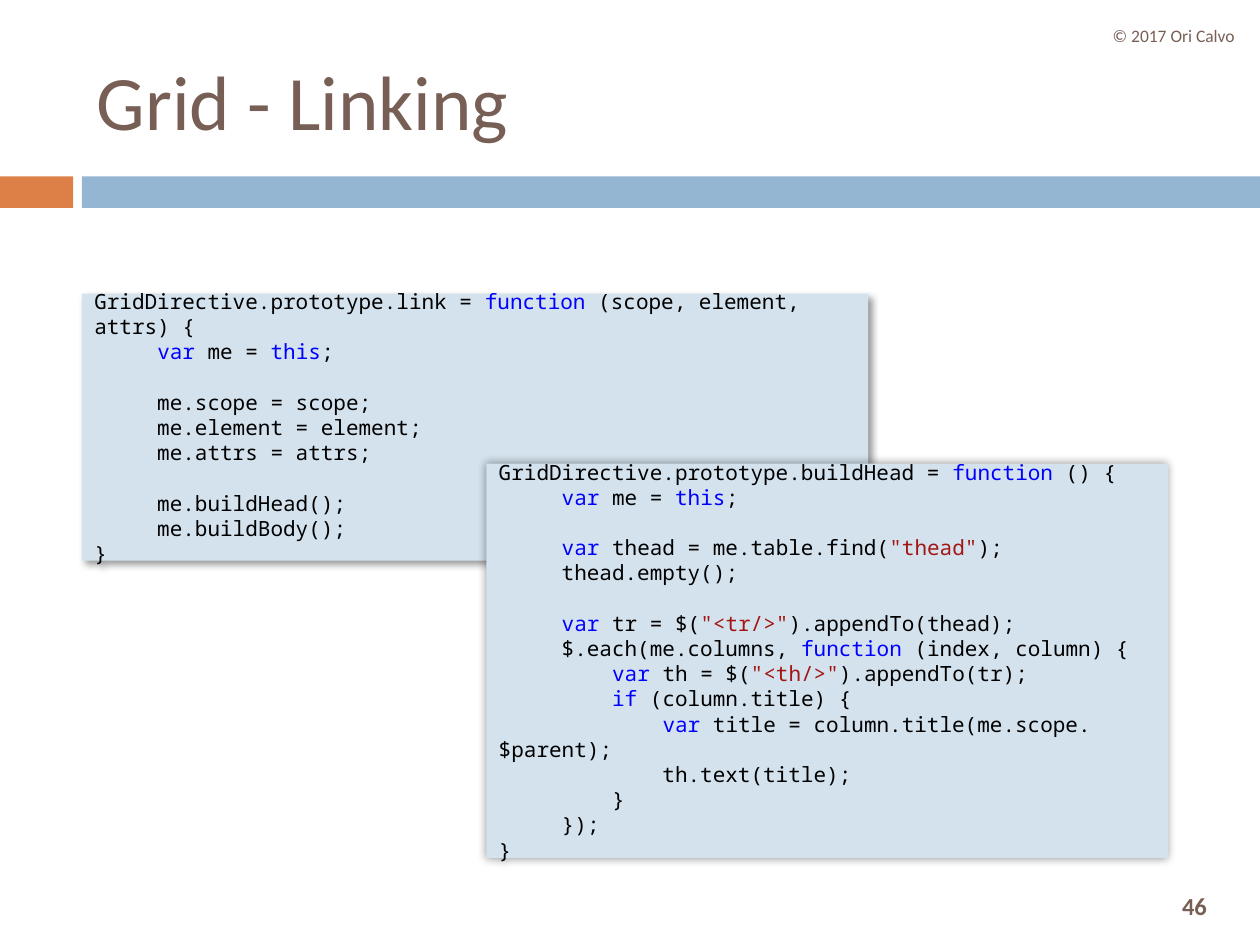
from lxml import etree
from pptx import Presentation
from pptx.dml.color import RGBColor
from pptx.enum import shapes, text
from pptx.oxml import ns
from pptx.util import Pt

BROWN, BLACK, KEYWORD, STRING = "775F55", "000000", "0000FF", "A31515"
PANEL = "D4E2ED"

BARS = [
    ("DD8047", (0, 100.8, 41.8, 18)),
    ("94B6D2", (46.8, 100.8, 673.2, 18)),
]

LABELS = [
    ("Grid - Linking", (48.24, 18, 642.24, 77.76), dict(size=44)),
    ("© 2017 Ori Calvo", (621.36, 0, 98.64, 40.32), dict(size=10, centred=True)),
    ("46", (649.44, 502.56, 66.24, 30.24), dict(size=14, bold=True, centred=True)),
]

LINK_CODE = """GridDirective.prototype.link = `function` (scope, element, attrs) {
     `var` me = `this`;

     me.scope = scope;
     me.element = element;
     me.attrs = attrs;

     me.buildHead();
     me.buildBody();
}"""

HEAD_CODE = """GridDirective.prototype.buildHead = `function` () {
     `var` me = `this`;

     `var` thead = me.table.find(`"thead"`);
     thead.empty();

     `var` tr = $(`"<tr/>"`).appendTo(thead);
     $.each(me.columns, `function` (index, column) {
         `var` th = $(`"<th/>"`).appendTo(tr);
         `if` (column.title) {
             `var` title = column.title(me.scope.$parent);
             th.text(title);
         }
     });
}"""

CODE_PANELS = [
    (LINK_CODE, (46.8, 167.76, 449.28, 152.64), dict(blur=4, distance=3, angle=45)),
    (HEAD_CODE, (277.92, 264.96, 389.52, 225.36), dict(blur=5, distance=0, angle=0)),
]


def colour(value):
    return RGBColor.from_string(value)


def add_rectangle(slide, box, fill):
    shape = slide.shapes.add_shape(shapes.MSO_SHAPE.RECTANGLE, *map(Pt, box))
    shape.shadow.inherit = False
    shape.fill.solid()
    shape.fill.fore_color.rgb = colour(fill)
    shape.line.fill.background()
    return shape


def add_shadow(shape, blur, distance, angle):
    effects = shape._element.spPr.find(ns.qn("a:effectLst"))
    shadow = etree.SubElement(
        effects, ns.qn("a:outerShdw"), blurRad=str(Pt(blur)), dist=str(Pt(distance)),
        dir=str(angle * 60000), algn="ctr", rotWithShape="0")
    shade = etree.SubElement(shadow, ns.qn("a:srgbClr"), val=BLACK)
    etree.SubElement(shade, ns.qn("a:alpha"), val="40000")


def segment_colour(index, segment, base):
    if index % 2 == 0:
        return base
    return STRING if segment.startswith('"') else KEYWORD


def write_text(shape, content, size, font="Calibri", base=BROWN, bold=False, centred=False):
    frame = shape.text_frame
    frame.word_wrap = True
    frame.auto_size = text.MSO_AUTO_SIZE.NONE
    frame.vertical_anchor = text.MSO_ANCHOR.MIDDLE
    for number, line in enumerate(content.split("\n")):
        paragraph = frame.add_paragraph() if number else frame.paragraphs[0]
        paragraph.alignment = text.PP_ALIGN.CENTER if centred else text.PP_ALIGN.LEFT
        paragraph.font.size = Pt(size)
        paragraph.font.name = font
        for index, segment in enumerate(line.split("`")):
            if segment:
                run = paragraph.add_run()
                run.text = segment
                run.font.size = Pt(size)
                run.font.name = font
                run.font.bold = bold
                run.font.color.rgb = colour(segment_colour(index, segment, base))


def main():
    presentation = Presentation()
    presentation.slide_width, presentation.slide_height = Pt(720), Pt(540)
    slide = presentation.slides.add_slide(presentation.slide_layouts[6])
    for fill, box in BARS:
        add_rectangle(slide, box, fill)
    for content, box, style in LABELS:
        write_text(slide.shapes.add_textbox(*map(Pt, box)), content, **style)
    for code, box, shadow in CODE_PANELS:
        panel = add_rectangle(slide, box, PANEL)
        add_shadow(panel, **shadow)
        write_text(panel, code, size=12, font="Noto Sans Mono", base=BLACK)
    presentation.save("out.pptx")


if __name__ == "__main__":
    main()
